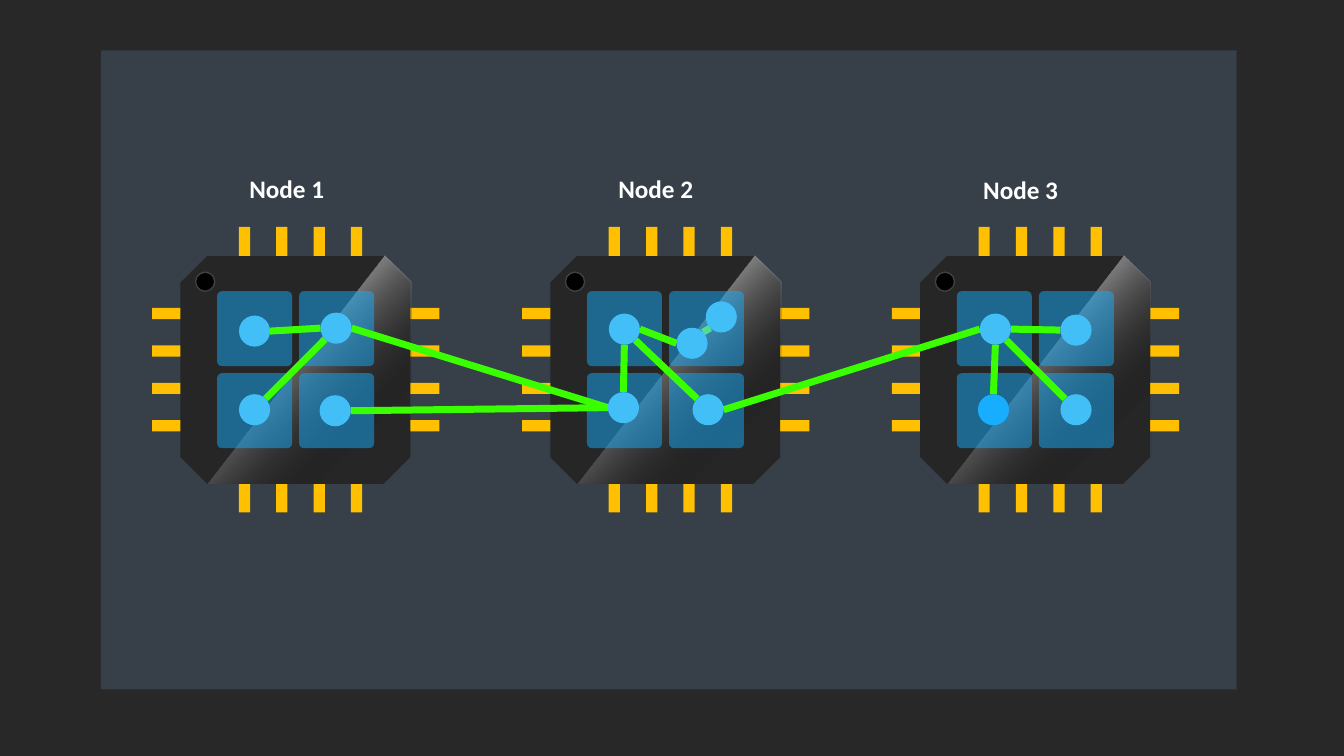
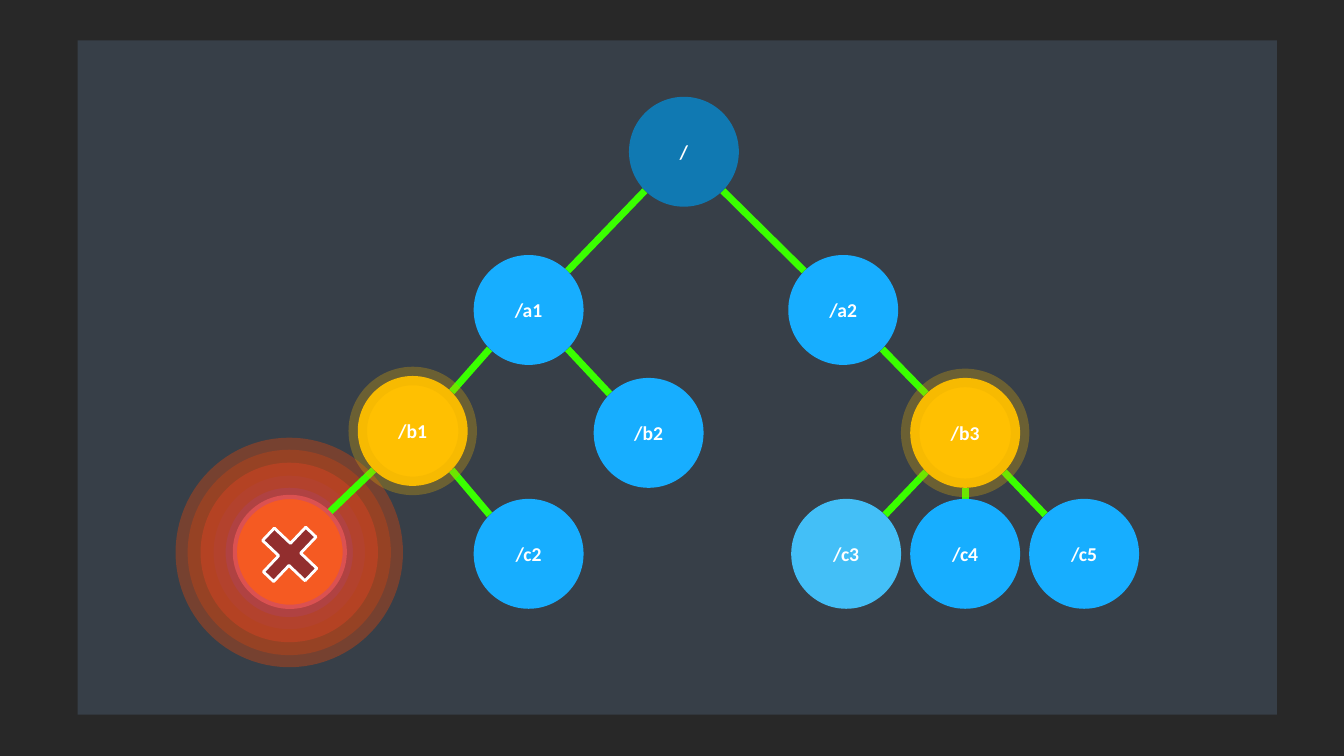
from lxml.etree import SubElement
from pptx import Presentation
from pptx.dml.color import RGBColor
from pptx.enum.shapes import MSO_CONNECTOR, MSO_SHAPE
from pptx.enum.text import MSO_ANCHOR, PP_ALIGN
from pptx.oxml.ns import qn
from pptx.util import Pt

BACK, PANEL, WHITE = "282828", "373F48", "FFFFFF"
GREEN, BLUE, SKY, NAVY = "3AFF00", "17AEFF", "43BFF7", "1079B2"
GOLD, AMBER, AMBER_HALO = "FEC000", "FFC001", "E5AD03"
RED, RED_EDGE, GLOW, GLOW_HALO = "F55A22", "DB5151", "B04242", "B6431A"
FONT = {"name": "Calibri", "bold": True}
LINK_WIDTH = 5


def tint(color, value, alpha=100):
    color.rgb = RGBColor.from_string(value)
    if alpha < 100:
        SubElement(color._color._xClr, qn("a:alpha")).set("val", str(alpha * 1000))


def dress(shape, fill=None, line=None, width=0, alpha=100, line_alpha=100, text="", size=14):
    if fill:
        shape.fill.solid()
        tint(shape.fill.fore_color, fill, alpha)
    elif hasattr(shape, "fill"):
        shape.fill.background()
    if line:
        shape.line.width = Pt(width)
        tint(shape.line.color, line, line_alpha)
    else:
        shape.line.fill.background()
    SubElement(shape._element.spPr, qn("a:effectLst"))
    if text:
        p = shape.text_frame.paragraphs[0]
        p.alignment = PP_ALIGN.CENTER
        r = p.add_run()
        r.text = text
        for name, value in {**FONT, "size": Pt(size)}.items():
            setattr(r.font, name, value)
        tint(r.font.color, WHITE)


prs = Presentation()
prs.slide_width, prs.slide_height = Pt(960), Pt(540)

slides = []
for panel in [(72, 36, 811.4, 456.4), (55.4, 28.8, 856.8, 481.7)]:
    s = prs.slides.add_slide(prs.slide_layouts[6])
    s.background.fill.solid()
    tint(s.background.fill.fore_color, BACK)
    dress(s.shapes.add_shape(MSO_SHAPE.RECTANGLE, *map(Pt, panel)), PANEL)
    slides.append(s)
cluster, tree = slides

CHIP_TOP, CHIP_W, CHIP_H = 162, 205.2, 204
PIN, PIN_STEP = 8, 26.7
BODY_TOP, BODY_BOTTOM = 182.9, 345.6
TILE, TILE_STEP = 53.5, 58.6

for i in range(3):
    x = 108.7 + 264.2 * i
    chip = cluster.shapes.add_group_shape().shapes

    bars = []
    for n in range(4):
        bars.append((x + 61.9 + PIN_STEP * n, CHIP_TOP, PIN, CHIP_H))
        bars.append((x, CHIP_TOP + 58 + PIN_STEP * n, CHIP_W, PIN))
    pins = chip.build_freeform(Pt(bars[0][0]), Pt(bars[0][1]))
    for left, top, w, h in bars:
        pins.move_to(Pt(left), Pt(top))
        corners = [(left + w, top), (left + w, top + h), (left, top + h)]
        pins.add_line_segments([(Pt(a), Pt(b)) for a, b in corners])
    dress(pins.convert_to_shape(), GOLD)

    body = chip.add_shape(MSO_SHAPE.OCTAGON, Pt(x + 20.2), Pt(BODY_TOP),
                          Pt(164.2), Pt(BODY_BOTTOM - BODY_TOP))
    body.adjustments[0] = 0.117
    dress(body, "262626")

    outline = [(165.6, BODY_TOP), (185, 201.6), (185, 326.2), (165.6, BODY_BOTTOM)]
    shine = chip.build_freeform(Pt(x + 39.6), Pt(BODY_BOTTOM))
    shine.add_line_segments([(Pt(x + a), Pt(b)) for a, b in outline])
    sp = shine.convert_to_shape()
    dress(sp)
    sp.fill.gradient()
    sp.fill.gradient_angle = 315
    for stop, (position, color, alpha) in zip(
            sp.fill.gradient_stops, [(0.22, WHITE, 100), (0.79, "000000", 0)]):
        stop.position = position
        tint(stop.color, color, alpha)

    for row in range(2):
        for col in range(2):
            tile = chip.add_shape(MSO_SHAPE.ROUNDED_RECTANGLE,
                                  Pt(x + 46.4 + TILE_STEP * col),
                                  Pt(208 + TILE_STEP * row), Pt(TILE), Pt(TILE))
            tile.adjustments[0] = 0.062
            dress(tile, BLUE, alpha=49)
    mark = chip.add_shape(MSO_SHAPE.OVAL, Pt(x + 31), Pt(194.4), Pt(13.7), Pt(13.7))
    dress(mark, "000000", "404040", 1)

DOT_R = 11.1
DOTS = {
    "A": (181.8, 236.5), "B": (240.1, 234.4), "C": (181.8, 292.7), "D": (239.4, 293.4),
    "E": (446, 235.1), "F": (494.3, 245.2), "G": (515.2, 226.4), "H": (445.3, 291.2),
    "I": (505.8, 292.7), "J": (711, 235.1), "K": (768.6, 235.8), "L": (709.6, 292.7),
    "M": (768.6, 292.7),
}
SIDES = {
    "n": (0, -1), "s": (0, 1), "w": (-1, 0), "e": (1, 0),
    "ne": (0.71, -0.71), "nw": (-0.71, -0.71), "se": (0.71, 0.71), "sw": (-0.71, 0.71),
}
LINKS = [
    ("J", "w", "I", "e"), ("H", "w", "B", "e"), ("H", "w", "D", "e"), ("E", "s", "H", "n"),
    ("B", "w", "A", "e"), ("B", "sw", "C", "ne"), ("J", "s", "L", "n"), ("J", "se", "M", "nw"),
    ("E", "se", "I", "nw"), ("J", "e", "K", "w"), ("F", "w", "E", "e"), ("F", "ne", "G", "sw"),
]
network = cluster.shapes.add_group_shape().shapes
for start, side, end, end_side in LINKS:
    ends = [Pt(c + DOT_R * d)
            for dot, way in [(start, side), (end, end_side)]
            for c, d in zip(DOTS[dot], SIDES[way])]
    color = "50DE94" if end == "G" else GREEN
    dress(network.add_connector(MSO_CONNECTOR.STRAIGHT, *ends), None, color, LINK_WIDTH)
for name, (x, y) in DOTS.items():
    dot = network.add_shape(MSO_SHAPE.OVAL, Pt(x - DOT_R), Pt(y - DOT_R),
                            Pt(2 * DOT_R), Pt(2 * DOT_R))
    dress(dot, BLUE if name == "L" else SKY)

for i, (x, y) in enumerate([(170.6, 120.2), (434.2, 120.2), (694.8, 121)], 1):
    box = cluster.shapes.add_textbox(Pt(x), Pt(y), Pt(68.4), Pt(28.8))
    box.text_frame.word_wrap = False
    dress(box, text=f"Node {i}", size=18)

for fill, width in [(GLOW, 18.5), (None, 35.75)]:
    ring = tree.shapes.add_shape(MSO_SHAPE.OVAL, Pt(143.3), Pt(330.5), Pt(126.7), Pt(128.2))
    dress(ring, fill, GLOW_HALO, width, line_alpha=50)

NODE_R = 39.25
CORNER = NODE_R * 0.71
FAILED = "/c1"
HALO = {"line": AMBER_HALO, "width": 13.25, "line_alpha": 30}
NODES = {
    "/": (None, 488.5, 108.4, {"fill": NAVY}),
    "/a1": ("/", 377.6, 221.4, {"fill": BLUE}),
    "/a2": ("/", 602.3, 221.4, {"fill": BLUE}),
    "/b2": ("/a1", 463.3, 309.2, {"fill": BLUE}),
    "/c2": ("/b1", 377.6, 395.6, {"fill": BLUE}),
    "/c3": ("/b3", 604.4, 395.6, {"fill": SKY}),
    "/c4": ("/b3", 689.4, 395.6, {"fill": BLUE}),
    "/c5": ("/b3", 774.4, 395.6, {"fill": BLUE}),
    FAILED: ("/b1", 207, 394.2, {"fill": RED, "line": RED_EDGE, "width": 3}),
    "/b1": ("/a1", 294.8, 307.8, {"fill": AMBER, **HALO}),
    "/b3": ("/a2", 689.4, 309.2, {"fill": AMBER, **HALO}),
}
for parent, x, y, look in NODES.values():
    if parent:
        px, py = NODES[parent][1:3]
        dx = CORNER * ((x > px) - (x < px))
        dy = CORNER if dx else NODE_R
        ends = map(Pt, (px + dx, py + dy, x - dx, y - dy))
        dress(tree.shapes.add_connector(MSO_CONNECTOR.STRAIGHT, *ends), None, GREEN, LINK_WIDTH)
for name, (parent, x, y, look) in NODES.items():
    node = tree.shapes.add_shape(MSO_SHAPE.OVAL, Pt(x - NODE_R), Pt(y - NODE_R),
                                 Pt(2 * NODE_R), Pt(2 * NODE_R))
    node.text_frame.vertical_anchor = MSO_ANCHOR.MIDDLE
    dress(node, text="" if name == FAILED else name, **look)

cross = tree.shapes.add_shape(MSO_SHAPE.CROSS, Pt(185), Pt(375.1), Pt(43.9), Pt(41.8))
cross.adjustments[0] = 0.379
cross.rotation = 313.5
dress(cross, "922E2E", WHITE, 2)

prs.save("out.pptx")
